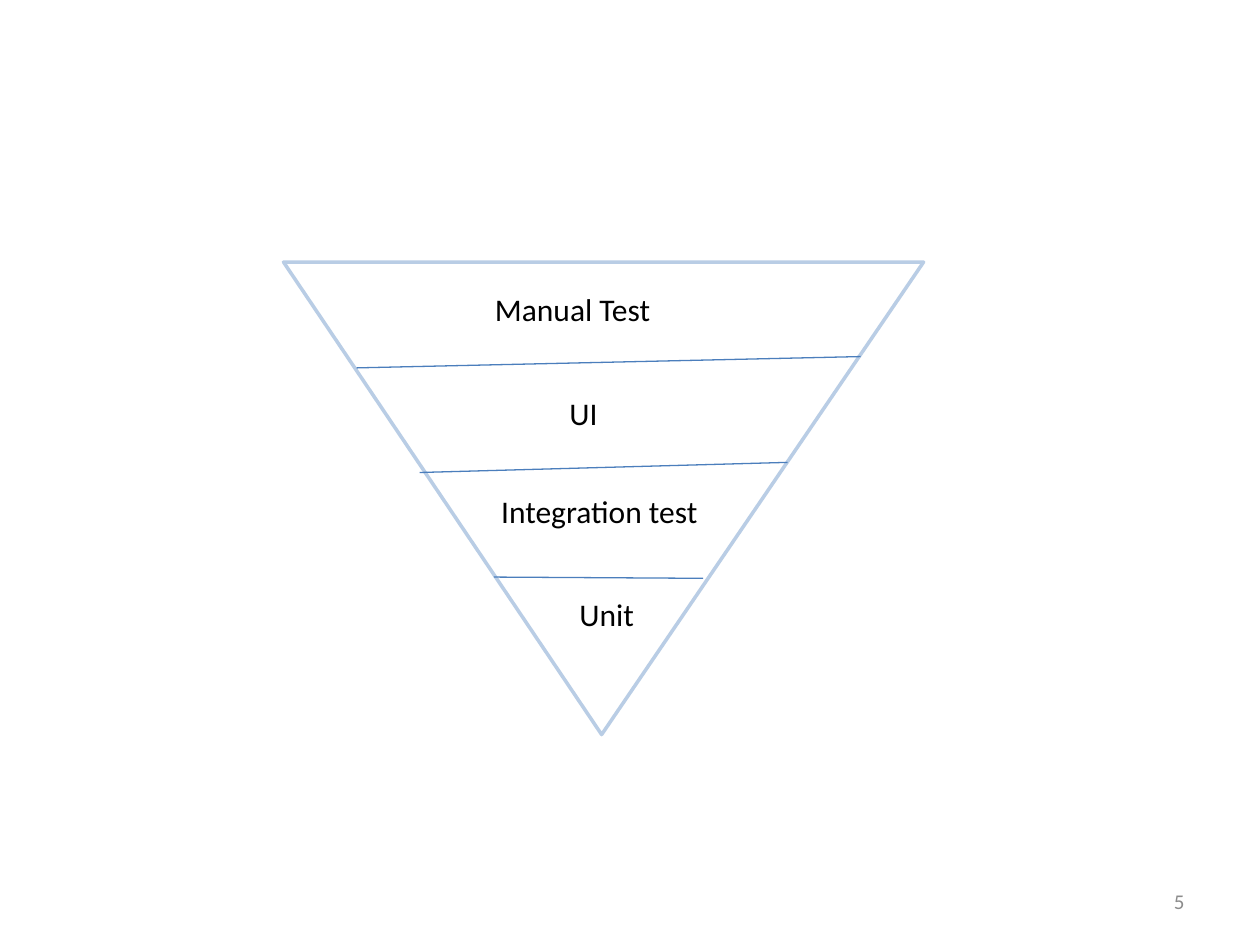
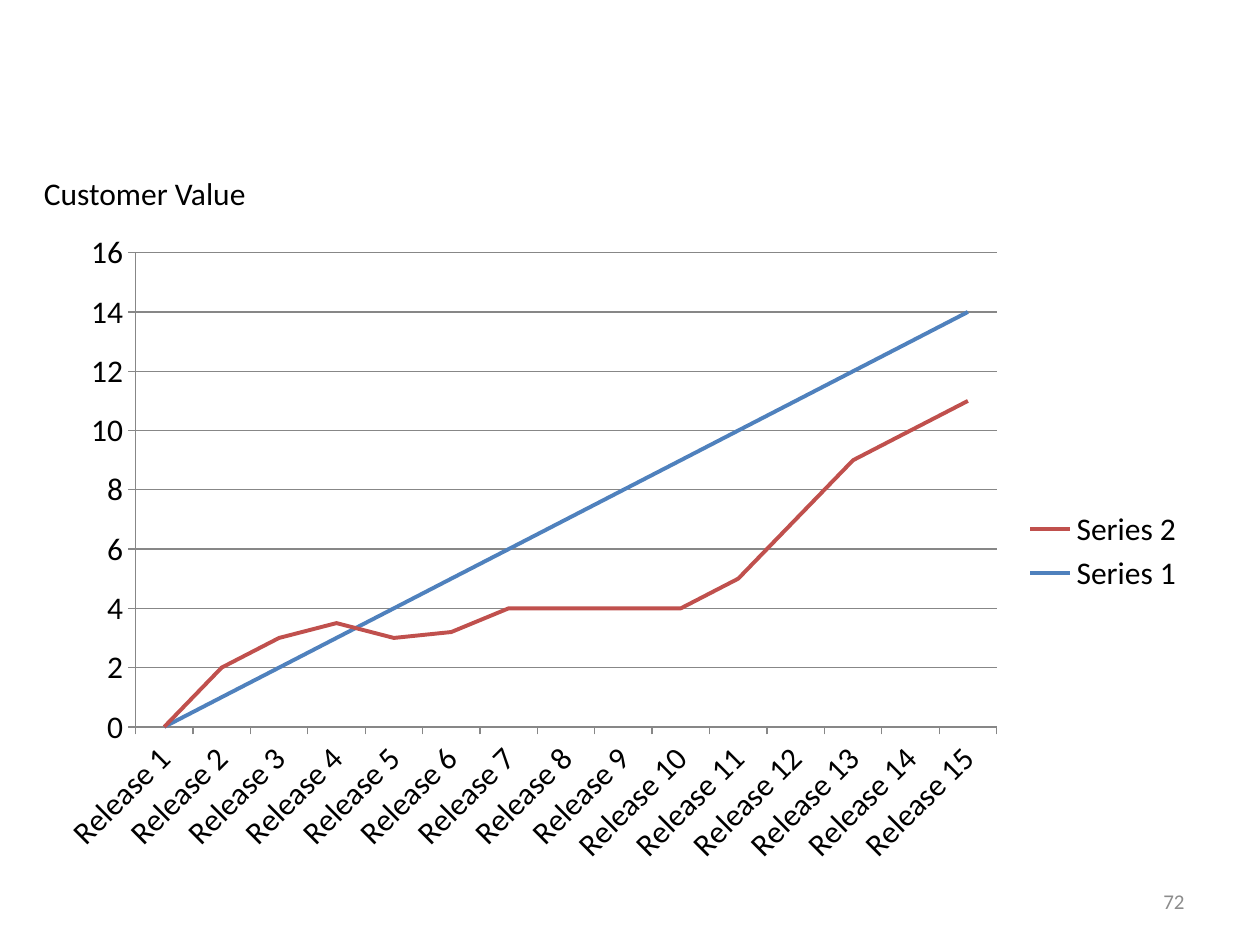
import pptx
import pptx.chart.data
import pptx.dml.color
import pptx.enum.chart
import pptx.enum.shapes
import pptx.enum.text
import pptx.oxml
import pptx.util
from dataclasses import dataclass

Inches, Pt = pptx.util.Inches, pptx.util.Pt
Color = pptx.dml.color.RGBColor.from_string
Align = pptx.enum.text.PP_ALIGN
Anchor = pptx.enum.text.MSO_ANCHOR


@dataclass(frozen=True)
class Theme:
    font: str = "Calibri"
    body_size: int = 18
    number_size: int = 12
    text: str = "000000"
    number: str = "8C8C8C"
    outline: str = "B9CDE5"
    divider: str = "4B7EBC"
    axis: str = "878787"


THEME = Theme()

# Content: lengths in inches
SLIDE_SIZE = (10, 7.5)
NUMBER_BOX = (7.17, 6.95, 2.33, 0.4)

TRIANGLE_BOX = (2.25, 2.08, 5.08, 3.75)
TRIANGLE_APEX = 0.503
LEVELS = [  # label and its box
    ("Manual Test", (3.83, 2.25, 1.92, 0.4)),
    ("UI", (4.42, 3.08, 0.58, 0.42)),
    ("Integration test", (3.88, 3.86, 2, 0.4)),
    ("Unit", (4.5, 4.67, 0.83, 0.4)),
]
DIVIDERS = [  # left end, right end
    ((2.83, 2.92), (6.83, 2.83)),
    ((3.33, 3.75), (6.25, 3.67)),
    ((3.92, 4.58), (5.58, 4.59)),
]

CHART_TITLE = ("Customer Value", (0.25, 1.33, 1.92, 0.4))
CHART_BOX = (0.33, 1.75, 9.17, 5.25)
RELEASES = ([f"Release {number}" for number in range(1, 5)]
            + [f" Release {number}" for number in range(5, 16)])
SERIES = [  # name, colour, values
    ("Series 1", "4F81BD", list(range(15))),
    ("Series 2", "C0504D",
     [0, 1, 1, 0.5, -1, -1.8, -2, -3, -4, -5, -5, -4, -3, -3, -3]),
]


def inches(lengths):
    return [Inches(length) for length in lengths]


def style_line(line, color, width):
    line.color.rgb = Color(color)
    line.width = Pt(width)


def style_font(font, size, color):
    font.name = THEME.font
    font.size = Pt(size)
    font.color.rgb = Color(color)


def add_text(page, text, box, size=THEME.body_size, color=THEME.text,
             align=Align.LEFT, anchor=Anchor.TOP):
    frame = page.shapes.add_textbox(*inches(box)).text_frame
    frame.word_wrap = True
    frame.vertical_anchor = anchor
    frame.text = text
    para = frame.paragraphs[0]
    para.alignment = align
    style_font(para.runs[0].font, size, color)


def add_page(deck, number):
    page = deck.slides.add_slide(deck.slide_layouts[6])
    add_text(page, number, NUMBER_BOX, THEME.number_size, THEME.number,
             Align.RIGHT, Anchor.MIDDLE)
    return page


def add_divider(page, start, end):
    divider = page.shapes.add_connector(
        pptx.enum.shapes.MSO_CONNECTOR.STRAIGHT, *inches(start + end))
    style_line(divider.line, THEME.divider, 0.75)
    properties = divider.element.spPr
    properties.append(pptx.oxml.parse_xml(
        '<a:effectLst xmlns:a='
        '"http://schemas.openxmlformats.org/drawingml/2006/main"/>'))


def build_pyramid(page):
    # Inverted triangle
    triangle = page.shapes.add_shape(
        pptx.enum.shapes.MSO_SHAPE.ISOSCELES_TRIANGLE, *inches(TRIANGLE_BOX))
    triangle.rotation = 180
    triangle.adjustments[0] = TRIANGLE_APEX
    triangle.shadow.inherit = False
    triangle.fill.background()
    style_line(triangle.line, THEME.outline, 2)

    # Levels
    for start, end in DIVIDERS:
        add_divider(page, start, end)
    for label, box in LEVELS:
        add_text(page, label, box)


def build_chart(page):
    data = pptx.chart.data.CategoryChartData()
    data.categories = RELEASES
    for name, _, values in SERIES:
        data.add_series(name, values)
    chart = page.shapes.add_chart(
        pptx.enum.chart.XL_CHART_TYPE.LINE_STACKED,
        *inches(CHART_BOX), data).chart
    style_font(chart.font, THEME.body_size, THEME.text)
    chart.has_title = False

    # Legend
    chart.has_legend = True
    chart.legend.position = pptx.enum.chart.XL_LEGEND_POSITION.RIGHT
    chart.legend.include_in_layout = False

    # Axes
    for axis in (chart.category_axis, chart.value_axis):
        style_line(axis.format.line, THEME.axis, 0.75)
        axis.major_tick_mark = pptx.enum.chart.XL_TICK_MARK.OUTSIDE
        axis.minor_tick_mark = pptx.enum.chart.XL_TICK_MARK.NONE
    values_axis = chart.value_axis
    values_axis.has_major_gridlines = True
    style_line(values_axis.major_gridlines.format.line, THEME.axis, 0.75)

    # Series
    plot = chart.plots[0]
    plot.vary_by_categories = False
    for series, (_, color, _) in zip(plot.series, SERIES):
        series.smooth = False
        series.marker.style = pptx.enum.chart.XL_MARKER_STYLE.NONE
        style_line(series.format.line, color, 2.25)

    add_text(page, *CHART_TITLE)


def main():
    deck = pptx.Presentation()
    deck.slide_width, deck.slide_height = inches(SLIDE_SIZE)
    build_pyramid(add_page(deck, "5"))
    build_chart(add_page(deck, "72"))
    deck.save("out.pptx")


if __name__ == "__main__":
    main()
